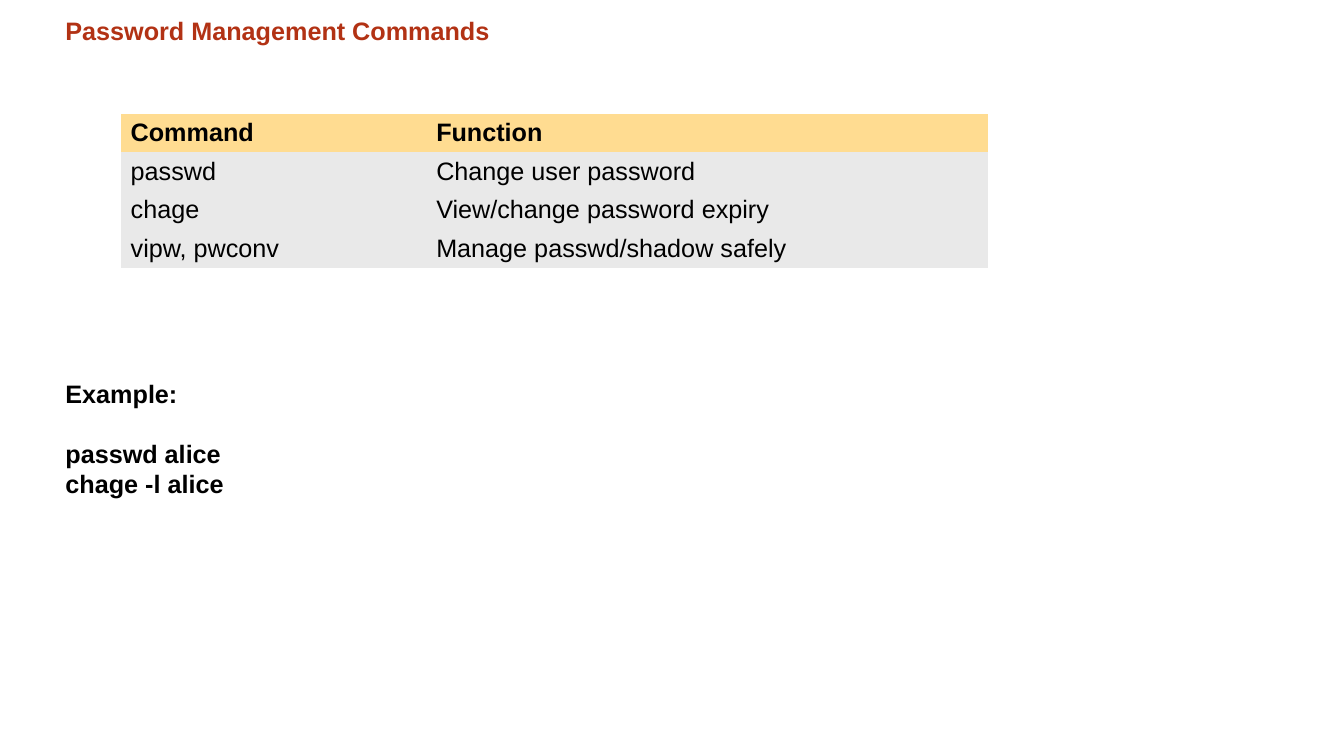
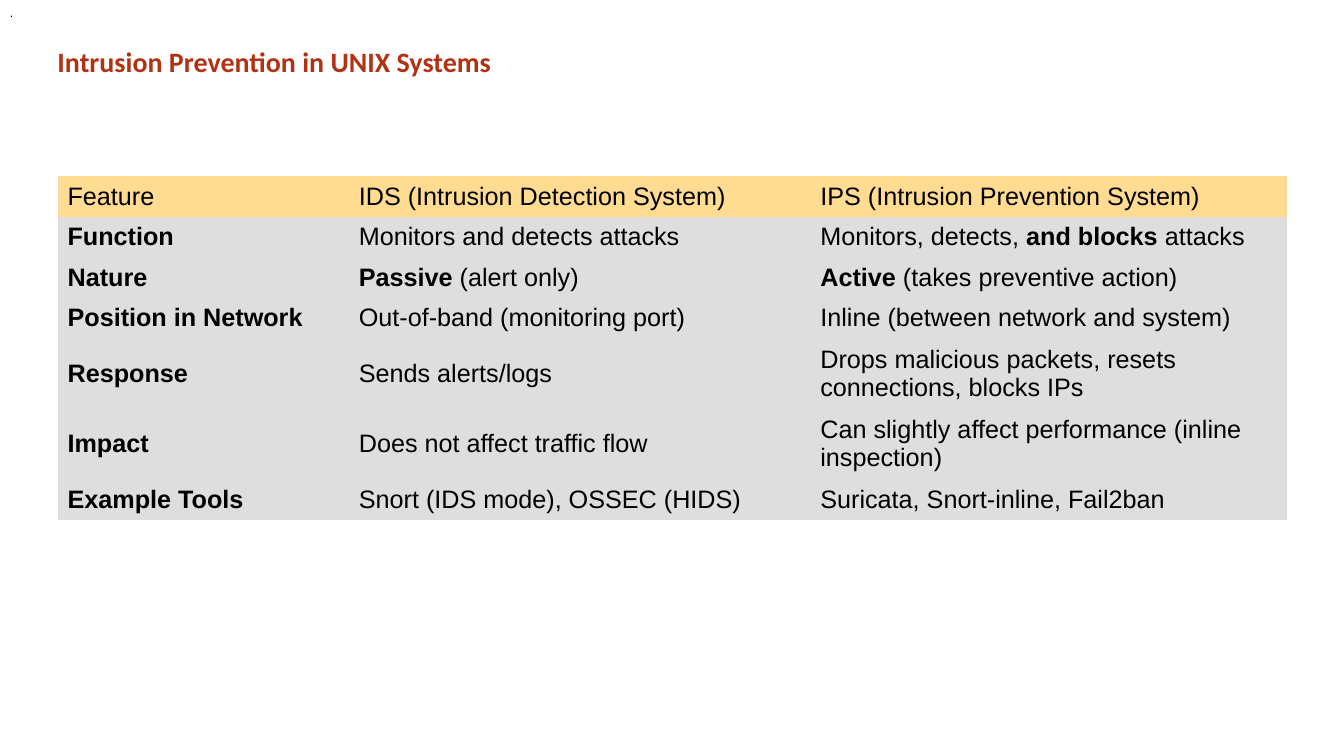
from dataclasses import dataclass

from pptx import Presentation
from pptx.dml.color import RGBColor
from pptx.enum.text import MSO_ANCHOR
from pptx.oxml.ns import qn
from pptx.util import Cm, Pt

MIDDLE = MSO_ANCHOR.MIDDLE
PLAIN_TABLE_STYLE = "{2D5ABB26-0587-4C30-8999-92F81FD0307C}"


@dataclass(frozen=True)
class Theme:
    title: RGBColor = RGBColor(0xB2, 0x32, 0x14)
    ink: RGBColor = RGBColor(0x00, 0x00, 0x00)
    header: RGBColor = RGBColor(0xFF, 0xDC, 0x91)
    light_row: RGBColor = RGBColor(0xE9, 0xE9, 0xE9)
    dark_row: RGBColor = RGBColor(0xDE, 0xDE, 0xDE)
    body_font: str = "Arial"
    heading_font: str = "Calibri"
    body_size: float = 18
    heading_size: float = 20
    mark_size: float = 9
    line_pitch: float = 21.6


class Deck:
    def __init__(self, theme):
        self.theme = theme
        self.presentation = Presentation()
        self.presentation.slide_width = Cm(33.87)
        self.presentation.slide_height = Cm(19.05)
        self.slide = None

    def new_slide(self):
        blank = self.presentation.slide_layouts[6]
        self.slide = self.presentation.slides.add_slide(blank)

    def style(self, run, bold=False, size=None, font=None, color=None):
        run.font.name = font or self.theme.body_font
        run.font.size = Pt(size or self.theme.body_size)
        run.font.bold = bold
        run.font.color.rgb = color or self.theme.ink

    def text(self, lines, left, top, width, height, pitch=None, **look):
        frame = self.slide.shapes.add_textbox(
            Cm(left), Cm(top), Cm(width), Cm(height)).text_frame
        frame.word_wrap = True
        frame.text = "\n".join(lines)
        for paragraph in frame.paragraphs:
            if pitch:
                paragraph.line_spacing = Pt(pitch)
            for run in paragraph.runs:
                self.style(run, **look)
        return frame

    def title(self, wording, left, top, **look):
        self.text([wording], left, top, 29.5, 1.2,
                  bold=True, color=self.theme.title, **look)

    def cell(self, cell, wording, fill):
        cell.fill.solid()
        cell.fill.fore_color.rgb = fill
        cell.vertical_anchor = MIDDLE
        cell.margin_top = cell.margin_bottom = Cm(0.1)
        paragraph = cell.text_frame.paragraphs[0]
        for index, part in enumerate(wording.split("**")):
            if part:
                run = paragraph.add_run()
                run.text = part
                self.style(run, bold=index % 2 == 1)

    def table(self, rows, left, top, widths, heights, row_fill):
        table = self.slide.shapes.add_table(
            len(rows), len(widths), Cm(left), Cm(top),
            Cm(sum(widths)), Cm(sum(heights))).table
        table.horz_banding = False
        table._tbl.tblPr.find(qn("a:tableStyleId")).text = PLAIN_TABLE_STYLE
        for column, width in zip(table.columns, widths):
            column.width = Cm(width)
        for index, (row, height) in enumerate(zip(rows, heights)):
            table.rows[index].height = Cm(height)
            fill = row_fill if index else self.theme.header
            for cell, wording in zip(table.rows[index].cells, row):
                self.cell(cell, wording, fill)


def password_commands(deck):
    theme = deck.theme
    deck.new_slide()
    deck.title("Password Management Commands", 1.4, 0.25,
               pitch=theme.line_pitch)
    commands = [
        ("**Command**", "**Function**"),
        ("passwd", "Change user password"),
        ("chage", "View/change password expiry"),
        ("vipw, pwconv", "Manage passwd/shadow safely"),
    ]
    deck.table(commands, 3.04, 2.87, [7.7, 14.17],
               [0.97] * len(commands), theme.light_row)
    example = deck.text(["Example:", "passwd alice", "chage -l alice"],
                        1.4, 9.4, 29.5, 3.5, pitch=theme.line_pitch, bold=True)
    example.paragraphs[1].space_before = Pt(theme.line_pitch)


def intrusion_prevention(deck):
    theme = deck.theme
    deck.new_slide()
    deck.title("Intrusion Prevention in UNIX Systems", 1.2, 1,
               font=theme.heading_font, size=theme.heading_size)
    deck.text(["."], 0, 0, 0.8, 0.6, size=theme.mark_size)
    features = [
        ("Feature", "IDS (Intrusion Detection System)",
         "IPS (Intrusion Prevention System)"),
        ("**Function**", "Monitors and detects attacks",
         "Monitors, detects, **and blocks** attacks"),
        ("**Nature**", "**Passive** (alert only)",
         "**Active** (takes preventive action)"),
        ("**Position in Network**", "Out-of-band (monitoring port)",
         "Inline (between network and system)"),
        ("**Response**", "Sends alerts/logs",
         "Drops malicious packets, resets connections, blocks IPs"),
        ("**Impact**", "Does not affect traffic flow",
         "Can slightly affect performance (inline inspection)"),
        ("**Example Tools**", "Snort (IDS mode), OSSEC (HIDS)",
         "Suricata, Snort-inline, Fail2ban"),
    ]
    single, double = 1.02, 1.78
    deck.table(features, 1.45, 4.44, [7.34, 11.63, 12.01],
               [single] * 4 + [double] * 2 + [single], theme.dark_row)


def main():
    deck = Deck(Theme())
    password_commands(deck)
    intrusion_prevention(deck)
    deck.presentation.save("out.pptx")


if __name__ == "__main__":
    main()
